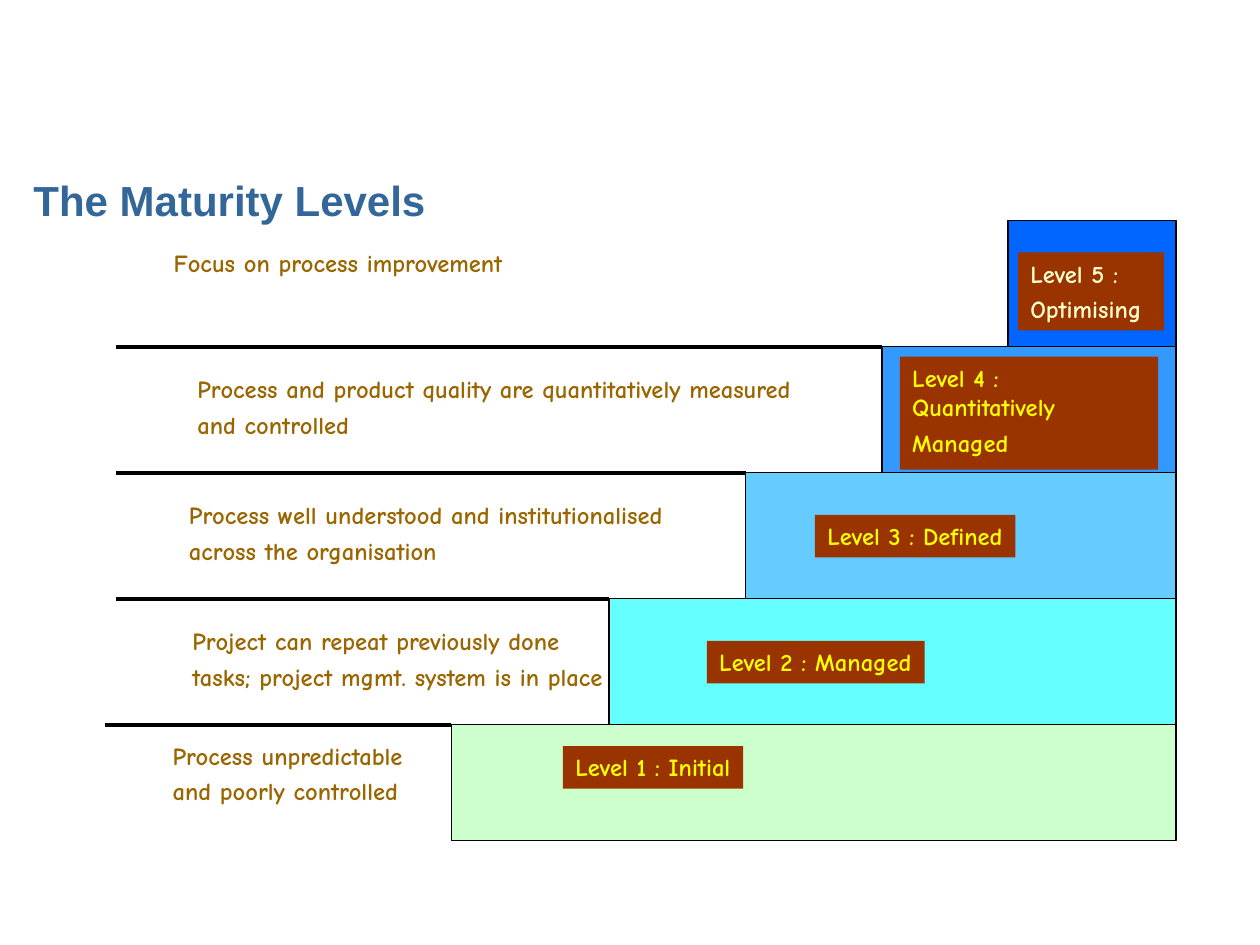
"""Build a slide with the five maturity levels as a staircase."""
from dataclasses import dataclass

from lxml import etree
from pptx import Presentation
from pptx import util as u
from pptx.dml.color import RGBColor
from pptx.enum import shapes, text
from pptx.oxml.ns import qn

BLACK = RGBColor(0x00, 0x00, 0x00)
TITLE_BLUE = RGBColor(0x33, 0x66, 0x99)
OCHRE = RGBColor(0x99, 0x66, 0x00)
BROWN = RGBColor(0x99, 0x33, 0x00)
YELLOW = RGBColor(0xFF, 0xFF, 0x00)
CREAM = RGBColor(0xFF, 0xFF, 0xCC)
PALE_GREEN = RGBColor(0xCC, 0xFF, 0xCC)
AQUA = RGBColor(0x66, 0xFF, 0xFF)
SKY = RGBColor(0x66, 0xCC, 0xFF)
AZURE = RGBColor(0x33, 0x99, 0xFF)
BLUE = RGBColor(0x00, 0x66, 0xFF)

RIGHT = 23.71
TOP = 4.45
STEP = 2.54
BASE_HEIGHT = 2.33
LINE_HEIGHT = 0.71
TEXT_PADDING = 0.15


@dataclass
class Level:
    color: RGBColor
    left: float
    rule_left: float | None
    description: list
    description_box: tuple
    label: list
    label_box: tuple
    label_lines: int = 1
    label_color: RGBColor = YELLOW


LEVELS = [
    Level(PALE_GREEN, 9.1, 2.12,
          ["Process unpredictable", "and poorly controlled"], (3.23, 0.2, 5.18),
          ["Level 1 : Initial"], (11.35, 0.43, 3.63)),
    Level(AQUA, 12.28, 2.33,
          ["Project can repeat previously done",
           "tasks; project mgmt. system is in place"], (3.63, 0.43, 8.81),
          ["Level 2 : Managed"], (14.25, 0.85, 4.39)),
    Level(SKY, 15.03, 2.33,
          ["Process well understood and institutionalised",
           "across the organisation"], (3.56, 0.43, 10.26),
          ["Level 3 : Defined"], (16.43, 0.85, 4.04)),
    Level(AZURE, 17.78, 2.33,
          ["Process and product quality are quantitatively measured",
           "and controlled"], (3.73, 0.43, 12.73),
          ["Level 4 : Quantitatively", "Managed"], (18.14, 0.2, 5.21), 3),
    Level(BLUE, 20.32, None,
          ["Focus on process improvement"], (3.25, 0.43, 7.16),
          ["Level 5 :", "Optimising"], (20.52, 0.64, 2.95), 2, CREAM),
]


class Staircase:
    """Hold the text style and the slide that the levels are drawn on."""

    title_font = "Arial"
    body_font = "Comic Neue"
    body_size = u.Pt(14)
    spacing = u.Pt(3.5)

    def __init__(self, slide):
        self.slide = slide
        self.shapes = slide.shapes

    def style(self, paragraph, name, size, color):
        paragraph.alignment = text.PP_ALIGN.LEFT
        paragraph.font.name = name
        paragraph.font.size = size
        paragraph.font.bold = True
        paragraph.font.color.rgb = color

    def title(self, wording):
        shape = self.slide.shapes.title
        shape.left, shape.top = u.Cm(0.42), u.Cm(3.39)
        shape.width, shape.height = u.Cm(24.56), u.Cm(1.27)
        shape.text_frame.text = wording
        shape.text_frame.vertical_anchor = text.MSO_ANCHOR.MIDDLE
        self.style(shape.text_frame.paragraphs[0], self.title_font, u.Pt(24), TITLE_BLUE)

    def block(self, left, top, width, height, color):
        shape = self.shapes.add_shape(
            shapes.MSO_SHAPE.RECTANGLE, u.Cm(left), u.Cm(top), u.Cm(width), u.Cm(height))
        shape.shadow.inherit = False
        shape.fill.solid()
        shape.fill.fore_color.rgb = color
        return shape

    def step(self, left, top, height, color):
        shape = self.block(left, top, RIGHT - left, height, color)
        shape.line.color.rgb = BLACK
        shape.line.width = u.Pt(0.75)

    def rule(self, start, end, top):
        connector = self.shapes.add_connector(
            shapes.MSO_CONNECTOR.STRAIGHT, u.Cm(start), u.Cm(top), u.Cm(end), u.Cm(top))
        connector.line.color.rgb = BLACK
        connector.line.width = u.Pt(0)
        etree.SubElement(connector._element.spPr, qn("a:effectLst"))

    def wording(self, shape, lines, color, wrap):
        frame = shape.text_frame
        frame.text = "\n".join(lines)
        frame.word_wrap = wrap
        frame.auto_size = text.MSO_AUTO_SIZE.SHAPE_TO_FIT_TEXT
        frame.vertical_anchor = text.MSO_ANCHOR.TOP
        for paragraph in frame.paragraphs:
            paragraph.space_before = self.spacing
            self.style(paragraph, self.body_font, self.body_size, color)

    def description(self, left, top, width, lines):
        height = TEXT_PADDING + LINE_HEIGHT * len(lines)
        shape = self.shapes.add_textbox(u.Cm(left), u.Cm(top), u.Cm(width), u.Cm(height))
        self.wording(shape, lines, OCHRE, False)

    def label(self, left, top, width, level):
        height = TEXT_PADDING + LINE_HEIGHT * level.label_lines
        shape = self.block(left, top, width, height, BROWN)
        shape.line.fill.background()
        self.wording(shape, level.label, level.label_color, level.label_lines > 1)

    def level(self, level, top, height):
        self.shapes = self.slide.shapes.add_group_shape().shapes
        self.step(level.left, top, height, level.color)
        if level.rule_left is not None:
            self.rule(level.left, level.rule_left, top)
        left, offset, width = level.description_box
        self.description(left, top + offset, width, level.description)
        left, offset, width = level.label_box
        self.label(left, top + offset, width, level)


def main():
    presentation = Presentation()
    presentation.slide_width, presentation.slide_height = u.Cm(25.4), u.Cm(19.05)
    slide = presentation.slides.add_slide(presentation.slide_layouts[5])
    staircase = Staircase(slide)
    staircase.title("The Maturity Levels")
    for index, level in enumerate(LEVELS):
        top = TOP + STEP * (len(LEVELS) - 1 - index)
        staircase.level(level, top, STEP if index else BASE_HEIGHT)
    presentation.save("out.pptx")


if __name__ == "__main__":
    main()
